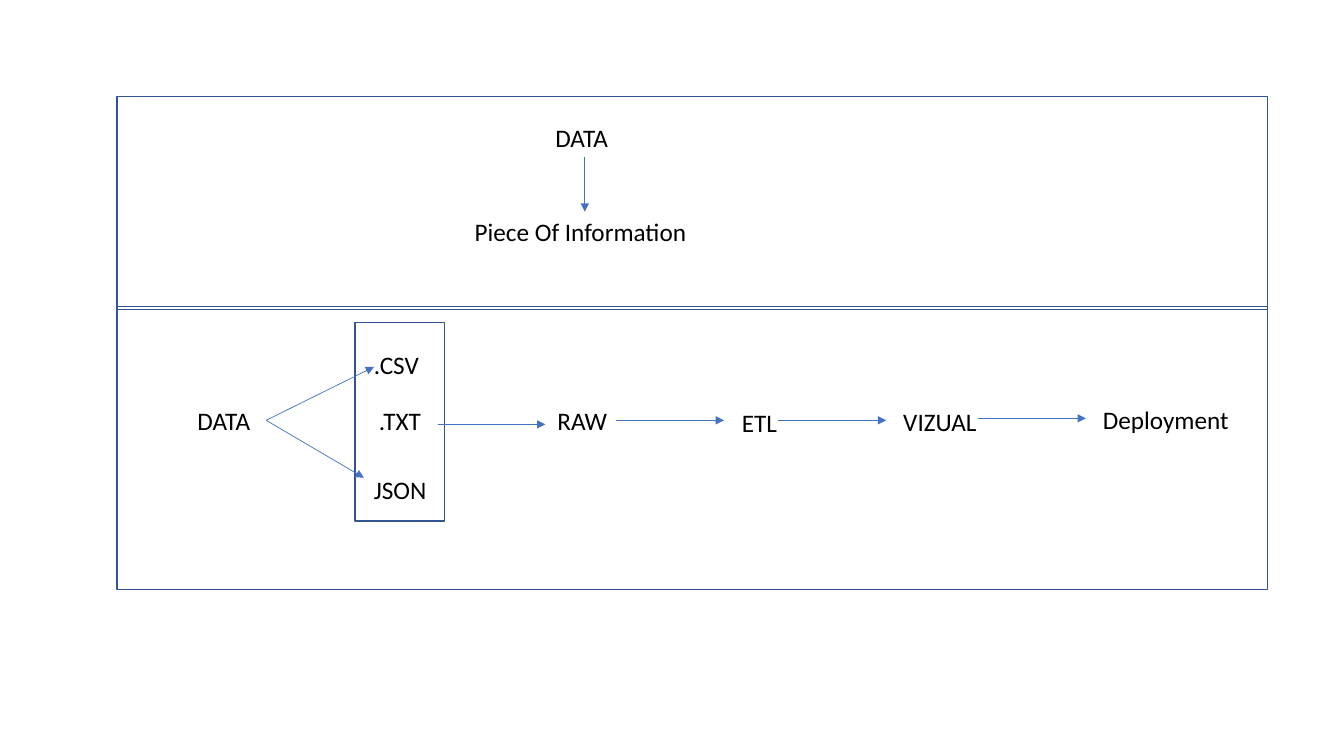
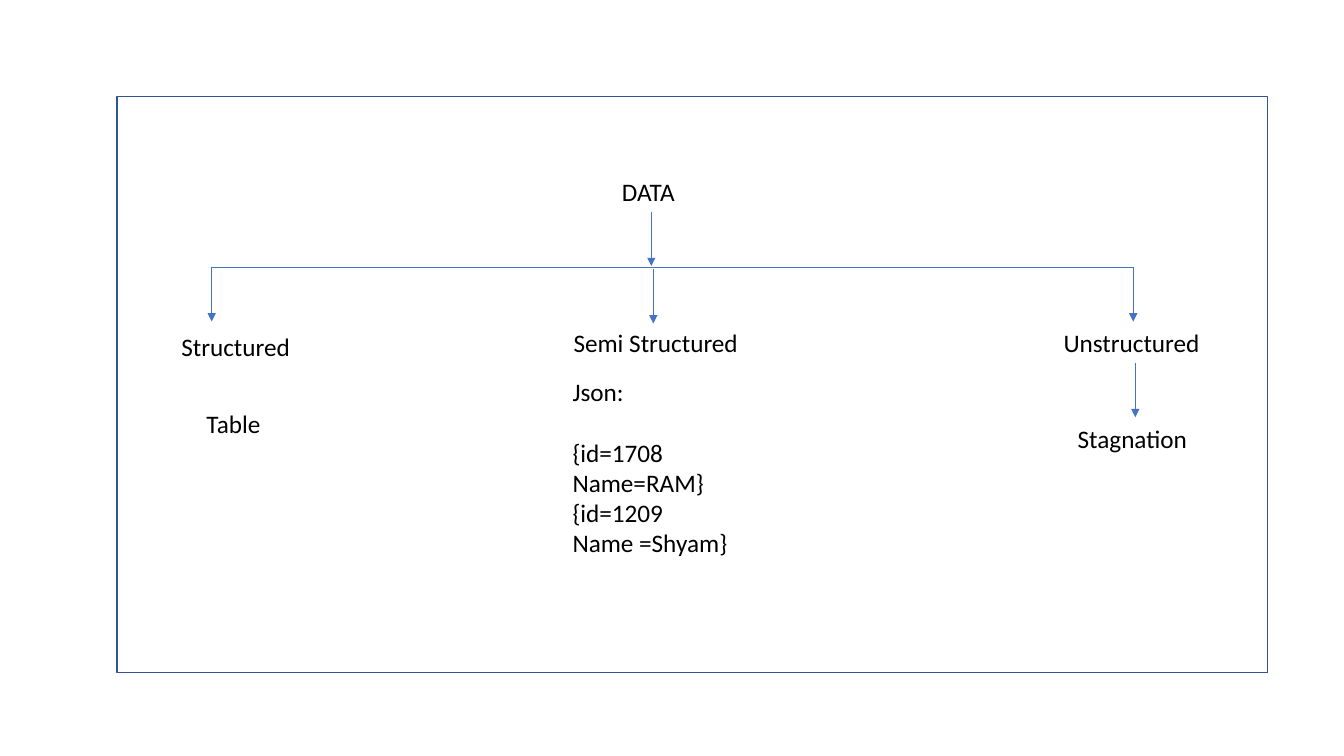
"""Two diagram slides: the path of data, and the kinds of data."""
from typing import NamedTuple, Sequence

from lxml import etree
from pptx import Presentation
from pptx import util as u
from pptx.dml.color import RGBColor
from pptx.enum import shapes, text
from pptx.oxml import ns

BLUE = RGBColor(0x44, 0x72, 0xC4)
DARK_BLUE = RGBColor(0x32, 0x54, 0x91)
BLACK = RGBColor(0, 0, 0)
FONT = "Calibri"
FONT_SIZE = u.Pt(18)
BLANK_LAYOUT = 6

LABEL_HEIGHT = 0.4
FRAME_LEFT, FRAME_TOP, FRAME_WIDTH = 1.16, 0.96, 11.41
STEP_ACROSS = 1.07  # length of a level arrow
STEP_DOWN = 0.54    # length of an upright arrow


class Label(NamedTuple):
    """One line of text; lengths in inches."""
    words: str
    left: float
    top: float
    width: float


class Line(NamedTuple):
    """A straight line, with an arrowhead at its end unless told otherwise."""
    x1: float
    y1: float
    x2: float
    y2: float
    head: bool = True


class Frame(NamedTuple):
    """An outlined rectangle."""
    left: float
    top: float
    width: float
    height: float


def across(x: float, y: float) -> Line:
    """Return a level arrow that starts at x, y."""
    return Line(x, y, x + STEP_ACROSS, y)


def down(x: float, y: float) -> Line:
    """Return an upright arrow that starts at x, y."""
    return Line(x, y, x, y + STEP_DOWN)


def panel(top: float, height: float) -> Frame:
    """Return a frame across the full content width."""
    return Frame(FRAME_LEFT, top, FRAME_WIDTH, height)


def draw_text(s, box: Frame, lines: Sequence[str], gap_before: int = -1) -> None:
    """Add unwrapped lines, with one empty line's space before line gap_before."""
    sp = s.shapes.add_textbox(*(u.Inches(v) for v in box))
    tf = sp.text_frame
    tf.word_wrap = False
    tf.auto_size = text.MSO_AUTO_SIZE.SHAPE_TO_FIT_TEXT
    for i, words in enumerate(lines):
        p = tf.add_paragraph() if i else tf.paragraphs[0]
        if i == gap_before:
            p.space_before = u.Pt(22)
        r = p.add_run()
        r.text = words
        r.font.name, r.font.size = FONT, FONT_SIZE
        r.font.color.rgb = BLACK


def draw_label(s, label: Label) -> None:
    """Add a one-line label."""
    box = Frame(label.left, label.top, label.width, LABEL_HEIGHT)
    draw_text(s, box, [label.words])


def draw_frame(s, frame: Frame) -> None:
    """Add an unfilled rectangle."""
    sp = s.shapes.add_shape(shapes.MSO_SHAPE.RECTANGLE,
                            *(u.Inches(v) for v in frame))
    sp.shadow.inherit = False
    sp.fill.background()
    sp.line.color.rgb = DARK_BLUE
    sp.line.width = u.Pt(1)


def draw_line(s, line: Line) -> None:
    """Add a thin connector without shadow."""
    ends = (u.Inches(v) for v in line[:4])
    sp = s.shapes.add_connector(shapes.MSO_CONNECTOR.STRAIGHT, *ends)
    sp.line.color.rgb = BLUE
    sp.line.width = u.Pt(0.5)
    if line.head:
        ln = sp.line._get_or_add_ln()
        etree.SubElement(ln, ns.qn("a:tailEnd"), type="triangle")
    etree.SubElement(sp._element.spPr, ns.qn("a:effectLst"))


def draw_diagram(s, frames: Sequence[Frame], lines: Sequence[Line],
                 labels: Sequence[Label]) -> None:
    """Draw frames, then lines, then labels."""
    for frame in frames:
        draw_frame(s, frame)
    for line in lines:
        draw_line(s, line)
    for label in labels:
        draw_label(s, label)


def build_pipeline(s) -> None:
    """Draw what data is, and its way from file to deployment."""
    fork_x, fork_y = 2.64, 4.17
    draw_diagram(
        s,
        frames=[panel(FRAME_TOP, 2.11), panel(3.04, 2.81),
                Frame(3.52, 3.2, 0.89, 1.97)],
        lines=[down(5.8, 1.56),
               Line(fork_x, fork_y, 3.71, 3.64),
               Line(fork_x, fork_y, 3.61, 4.74),
               across(4.34, 4.21), across(6.11, 4.17),
               across(7.72, 4.17), across(9.7, 4.15)],
        labels=[Label("DATA ", 5.41, 1.16, 0.79),
                Label("Piece Of Information ", 4.61, 2.1, 2.38),
                Label("DATA ", 1.86, 3.97, 0.79),
                Label(".CSV ", 3.61, 3.42, 0.71),
                Label(".TXT ", 3.66, 3.97, 0.68),
                Label("JSON ", 3.61, 4.66, 0.79),
                Label("RAW ", 5.43, 3.97, 0.76),
                Label("ETL ", 7.26, 3.99, 0.61),
                Label("VIZUAL ", 8.86, 3.98, 0.99),
                Label("Deployment ", 10.84, 3.96, 1.52)])


def build_kinds(s) -> None:
    """Draw the tree of data kinds with an example of each."""
    left, right, branch_y = 2.1, 11.24, 2.65
    draw_diagram(
        s,
        frames=[panel(FRAME_TOP, 5.71)],
        lines=[down(6.46, 2.1),
               Line(left, branch_y, right, branch_y, head=False),
               down(left, branch_y), down(6.48, 2.67), down(right, branch_y),
               down(11.26, 3.6)],
        labels=[Label("DATA ", 6.07, 1.7, 0.79),
                Label("Structured ", 1.7, 3.24, 1.35),
                Label("Semi Structured", 5.59, 3.2, 1.85),
                Label("Unstructured", 10.45, 3.2, 1.56),
                Label("Stagnation", 10.59, 4.15, 1.3),
                Label("Table", 1.95, 4, 0.74)])
    records = ["Json:", "{id=1708", "Name=RAM}", "{id=1209", "Name =Shyam}"]
    draw_text(s, Frame(5.58, 3.68, 1.75, 1.92), records, gap_before=1)


def main() -> None:
    """Build and save the deck."""
    prs = Presentation()
    prs.slide_width, prs.slide_height = u.Inches(13.33), u.Inches(7.5)
    for build in (build_pipeline, build_kinds):
        build(prs.slides.add_slide(prs.slide_layouts[BLANK_LAYOUT]))
    prs.save("out.pptx")


main()
